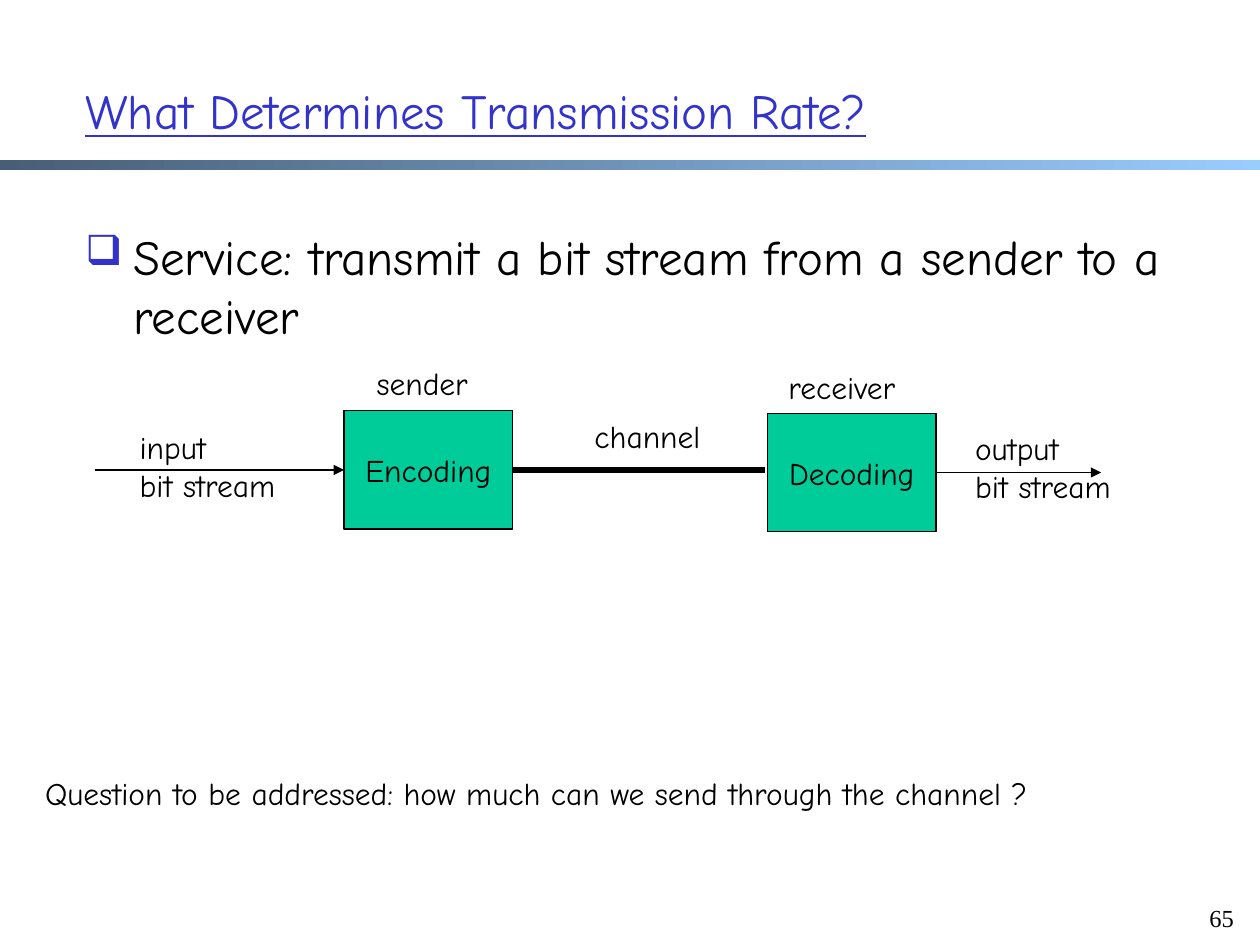
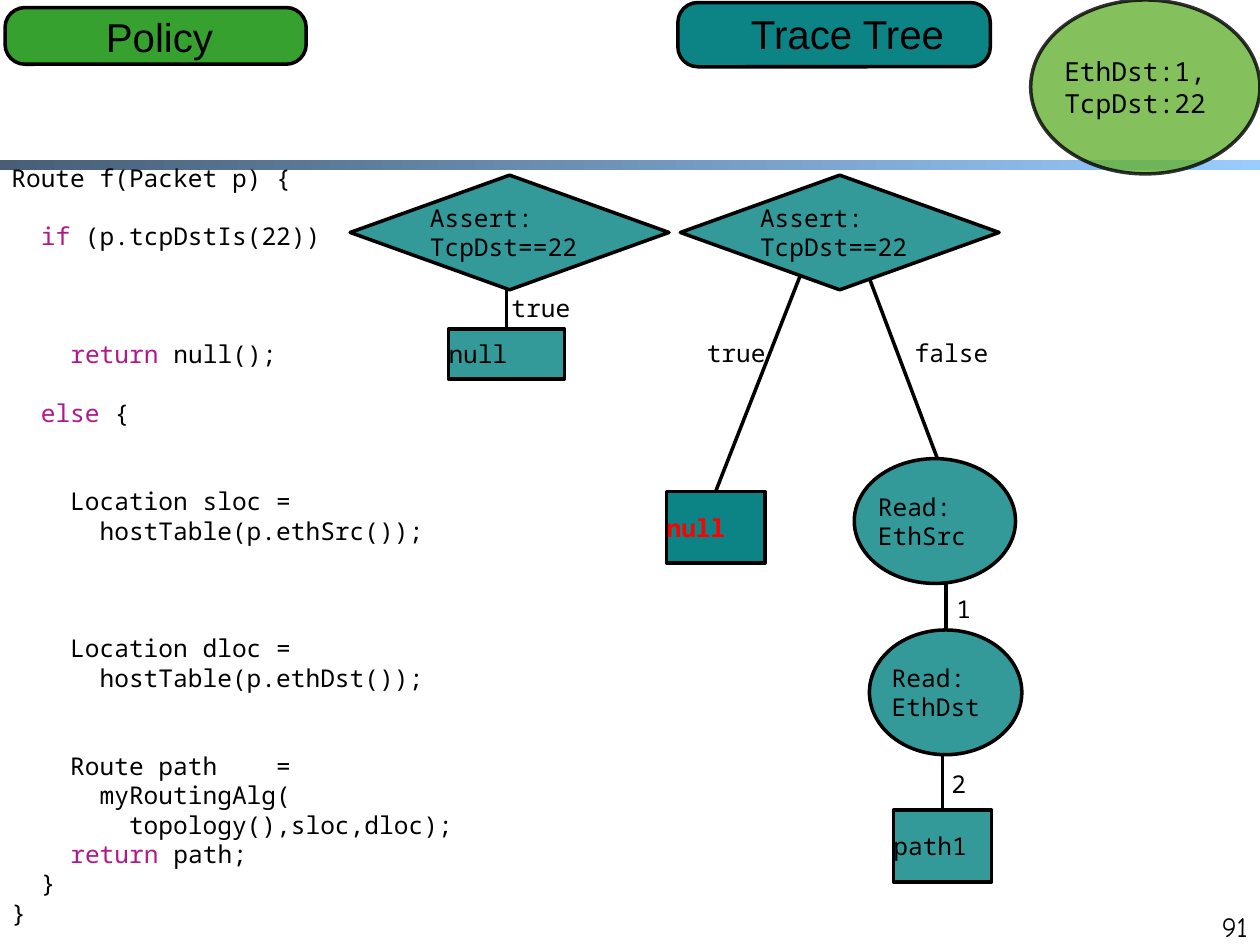
from lxml import etree
from pptx import Presentation
from pptx.dml.color import RGBColor
from pptx.enum.shapes import MSO_CONNECTOR, MSO_SHAPE as Shape
from pptx.enum.text import MSO_ANCHOR as Anchor, PP_ALIGN as Align
from pptx.oxml import parse_xml
from pptx.oxml.ns import nsdecls, qn
from pptx.util import Inches, Pt

COLORS = {
    "black": "000000", "title": "3333CC", "band_dark": "475E76",
    "band_light": "99CCFF", "coder": "00CC99", "policy": "37A130",
    "trace": "0C8385", "packet": "66B132", "node": "339999",
    "match": "FF0000", "keyword": "B21889",
}
COMIC = {"name": "Comic Neue", "size": Pt(18)}
HEADLINE = {"name": "Comic Neue", "size": Pt(28)}
MONO = {"name": "Noto Sans Mono", "size": Pt(14)}
LABEL = {"name": "Arial", "size": Pt(23)}


def add_box(page, kind, spot, lines=(), font=COMIC, color="black", fill=None,
            line=2, inset=True, **frame_format):
    place = [Inches(value) for value in spot]
    if kind is None:
        box = page.shapes.add_textbox(*place)
    else:
        box = page.shapes.add_shape(kind, *place)
        box.shadow.inherit = False
        box.fill.solid()
        box.fill.fore_color.rgb = RGBColor.from_string(COLORS[fill])
        box.line.color.rgb = RGBColor.from_string(COLORS["black"])
        box.line.width = Pt(line)
    frame = box.text_frame
    align = frame_format.pop("align", Align.LEFT)
    frame_format = {"word_wrap": True, **frame_format}
    if not inset:
        for side in ("left", "top", "right", "bottom"):
            frame_format[f"margin_{side}"] = 0
    for name, value in frame_format.items():
        setattr(frame, name, value)
    for number, text in enumerate(lines):
        para = frame.add_paragraph() if number else frame.paragraphs[0]
        para.alignment = align
        spans = [(text, color)] if isinstance(text, str) else text
        for words, span_color in spans:
            span = para.add_run()
            span.text = words
            for name, value in font.items():
                setattr(span.font, name, value)
            span.font.color.rgb = RGBColor.from_string(COLORS[span_color])
    return box


def add_line(page, start, end, width=2, begin_at=None, end_at=None, arrow=False):
    line = page.shapes.add_connector(
        MSO_CONNECTOR.STRAIGHT, *[Inches(value) for value in (*start, *end)])
    line.line.color.rgb = RGBColor.from_string(COLORS["black"])
    line.line.width = Pt(width)
    if begin_at:
        line.begin_connect(*begin_at)
    if end_at:
        line.end_connect(*end_at)
    if arrow:
        tail = etree.SubElement(line.line._get_or_add_ln(), qn("a:tailEnd"))
        tail.set("type", "triangle")
    etree.SubElement(line._element.spPr, qn("a:effectLst"))


deck = Presentation()
deck.slide_width, deck.slide_height = Inches(10), Inches(7.5)
pages = [deck.slides.add_slide(deck.slide_layouts[6]) for _ in range(2)]
for page in pages:
    band = add_box(page, Shape.RECTANGLE, (0, 1.27, 10, 0.08), fill="band_dark")
    band.line.fill.background()
    band.fill.gradient()
    band.fill.gradient_angle = 0
    for stop, name in zip(band.fill.gradient_stops, ("band_dark", "band_light")):
        stop.color.rgb = RGBColor.from_string(COLORS[name])
rate_page, tree_page = pages

add_box(rate_page, None, (0.58, 0.25, 8.78, 1.25),
        ["What Determines Transmission Rate?"], {**HEADLINE, "underline": True},
        "title", vertical_anchor=Anchor.MIDDLE)
service = add_box(rate_page, None, (0.58, 1.75, 8.81, 5.31),
                  ["Service: transmit a bit stream from a sender to a receiver"],
                  HEADLINE)
bullet = service.text_frame.paragraphs[0]._p.get_or_add_pPr()
bullet.set("marL", str(Inches(0.38)))
bullet.set("indent", str(Inches(-0.38)))
for xml in (f'<a:buClr {nsdecls("a")}><a:srgbClr val="{COLORS["title"]}"/></a:buClr>',
            f'<a:buSzPct {nsdecls("a")} val="85000"/>',
            f'<a:buChar {nsdecls("a")} char="❑"/>'):
    bullet.append(parse_xml(xml))

encoder, decoder = [
    add_box(rate_page, Shape.RECTANGLE, (left, top, 1.34, 0.94), [name],
            fill="coder", line=0.75, align=Align.CENTER, word_wrap=False,
            vertical_anchor=Anchor.MIDDLE)
    for left, top, name in ((2.73, 3.26, "Encoding"), (6.09, 3.28, "Decoding"))]
add_line(rate_page, (0.75, 3.73), (2.73, 3.73), 0.75, end_at=(encoder, 1), arrow=True)
add_line(rate_page, (4.07, 3.73), (6.07, 3.73), 3, begin_at=(encoder, 3))
add_line(rate_page, (7.43, 3.75), (8.74, 3.75), 0.75, begin_at=(decoder, 3), arrow=True)

for spot, lines in (
        ((4.62, 3.26, 1.07, 0.4), ["channel"]),
        ((7.64, 3.36, 1.43, 0.7), ["output", "bit stream"]),
        ((1.01, 3.35, 1.43, 0.7), ["input", "bit stream"]),
        ((2.89, 2.84, 0.99, 0.4), ["sender"]),
        ((6.16, 2.87, 1.17, 0.4), ["receiver"]),
        ((0.26, 6.09, 9.5, 0.43), ["Question to be addressed: how much can "
                                   "we send through the channel ?"])):
    add_box(rate_page, None, spot, lines, word_wrap=False)
add_box(rate_page, None, (9.5, 7.12, 0.5, 0.5), ["65"],
        {"name": "Times New Roman", "size": Pt(14)})

TIGHT = {"inset": False, "vertical_anchor": Anchor.MIDDLE}
for spot, corner, fill, label_spot, label in (
        ((0.04, 0.06, 2.39, 0.45), 0.35, "policy", (0.84, 0.09, 0.86, 0.39), "Policy"),
        ((5.38, 0.02, 2.48, 0.51), 0.31, "trace", (5.96, 0.07, 1.55, 0.39), "Trace Tree")):
    header = add_box(tree_page, Shape.ROUNDED_RECTANGLE, spot, fill=fill)
    header.adjustments[0] = corner
    add_box(tree_page, None, label_spot, [label], LABEL, word_wrap=False, **TIGHT)

packet = add_box(tree_page, Shape.OVAL, (8.18, 0, 1.82, 1.38),
                 ["EthDst:1,", "TcpDst:22"], {**MONO, "size": Pt(15)},
                 fill="packet", **TIGHT)
for tint in packet._element.spPr.iter(qn("a:srgbClr")):
    etree.SubElement(tint, qn("a:alpha")).set("val", "80000")

for kind, spot, lines in (
        (Shape.DIAMOND, (2.78, 1.39, 2.53, 0.91), ["Assert:", "TcpDst==22"]),
        (Shape.DIAMOND, (5.4, 1.39, 2.53, 0.91), ["Assert:", "TcpDst==22"]),
        (Shape.OVAL, (6.78, 3.64, 1.28, 0.99), ["Read:", "EthSrc"]),
        (Shape.OVAL, (6.9, 5, 1.21, 0.99), ["Read:", "EthDst"])):
    add_box(tree_page, kind, spot, lines, MONO, fill="node", **TIGHT)
first_leaf, matched_leaf, path_leaf = [
    add_box(tree_page, Shape.RECTANGLE, spot, [name], {**MONO, "bold": bold},
            color, fill, **TIGHT)
    for spot, name, bold, color, fill in (
        ((3.56, 2.61, 0.92, 0.4), "null", False, "black", "node"),
        ((5.29, 3.9, 0.78, 0.57), "null", True, "match", "trace"),
        ((7.09, 6.43, 0.78, 0.57), "path1", False, "black", "node"))]

for start, end, leaf in (
        ((4.02, 2.3), (4.02, 2.61), first_leaf),
        ((6.35, 2.19), (5.68, 3.9), matched_leaf),
        ((6.9, 2.21), (7.44, 3.64), None),
        ((7.51, 4.62), (7.51, 5), None),
        ((7.48, 5.99), (7.48, 6.43), path_leaf)):
    add_line(tree_page, start, end, end_at=(leaf, 0) if leaf else None)

for left, top, width, answer in (
        (4.06, 2.32, 0.77, "true"), (5.61, 2.68, 0.47, "true"),
        (7.26, 2.68, 0.59, "false"), (7.59, 4.71, 0.12, "1"),
        (7.55, 6.1, 0.12, "2")):
    add_box(tree_page, None, (left, top, width, 0.24), [answer], MONO,
            word_wrap=False, **TIGHT)

code = (
    (0, "Route f(Packet p) {", "", ""),
    (1, "  ", "if", " (p.tcpDstIs(22))"),
    (3, "    ", "return", " null();"),
    (1, "  ", "else", " {"),
    (2, "    Location sloc =", "", ""),
    (0, "      hostTable(p.ethSrc());", "", ""),
    (3, "    Location dloc =", "", ""),
    (0, "      hostTable(p.ethDst());", "", ""),
    (2, "    Route path    =", "", ""),
    (0, "      myRoutingAlg(", "", ""),
    (0, "        topology(),sloc,dloc);", "", ""),
    (0, "    ", "return", " path;"),
    (0, "  }", "", ""),
    (0, "}", "", ""),
)
code_lines = [
    [(words, color) for words, color in zip(parts, ("black", "keyword", "black")) if words]
    for _, *parts in code]
listing = add_box(tree_page, None, (0.09, 1.2, 3.55, 6.25), code_lines, MONO, **TIGHT)
for para, (gap, *_) in zip(listing.text_frame.paragraphs, code):
    if gap:
        para.space_before = Pt(16.8 * gap)
add_box(tree_page, None, (7.92, 7.17, 2.08, 0.33), ["91"],
        {**COMIC, "size": Pt(16)}, align=Align.RIGHT)

deck.save("out.pptx")
